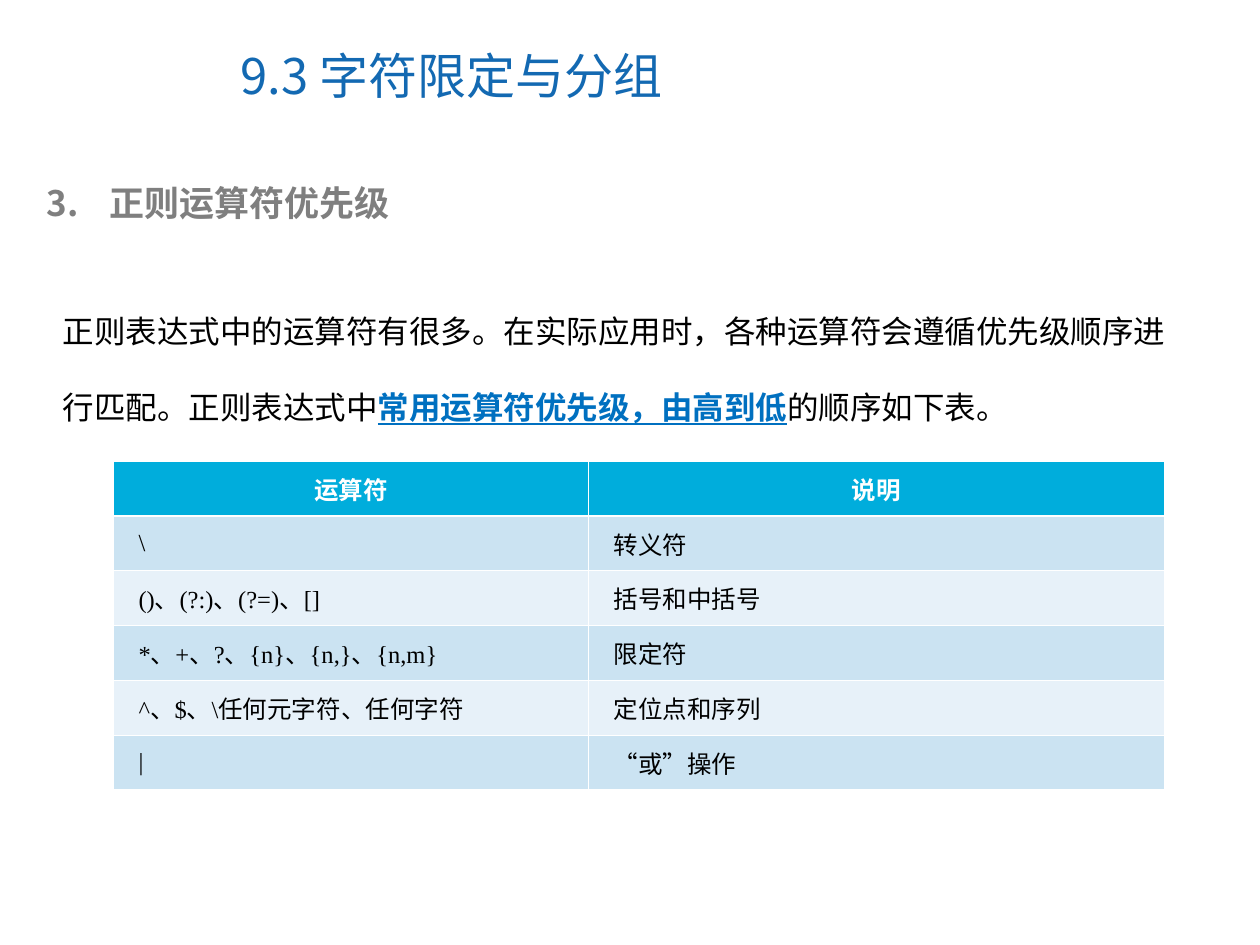
from dataclasses import dataclass

import pptx
import pptx.dml.color
import pptx.enum.lang
import pptx.enum.text
import pptx.oxml.ns
import pptx.util
from lxml import etree
from pptx.util import Inches, Pt

ALIGN = pptx.enum.text.PP_ALIGN
ANCHOR = pptx.enum.text.MSO_ANCHOR


@dataclass(frozen=True)
class Theme:
    title: str = "1369B2"
    heading: str = "7F7F7F"
    body: str = "000000"
    accent: str = "0070C0"
    header_fill: str = "00ADDC"
    band_fills: tuple = ("CBE3F2", "E7F1F9")
    white: str = "FFFFFF"
    title_size: int = 28
    heading_size: int = 20
    body_size: int = 18
    table_size: int = 14
    cjk: str = "Noto Sans CJK SC"
    sans: str = "Arial"
    serif: str = "Times New Roman"


THEME = Theme()

OPERATORS = [
    ("运算符", "说明"),
    ("\\", "转义符"),
    ("()、(?:)、(?=)、[]", "括号和中括号"),
    ("*、+、?、{n}、{n,}、{n,m}", "限定符"),
    ("^、$、\\任何元字符、任何字符", "定位点和序列"),
    ("|", "“或”操作"),
]


def add_element(parent, tag, **attributes):
    return etree.SubElement(parent, pptx.oxml.ns.qn(tag), **attributes)


def rgb(color):
    return pptx.dml.color.RGBColor.from_string(color)


def write(para, text, *, size, color, font=THEME.sans, bold=False, underline=False):
    span = para.add_run()
    span.text = text
    span.font.size = Pt(size)
    span.font.bold = bold
    span.font.underline = underline
    span.font.color.rgb = rgb(color)
    span.font.name = font
    span.font.language_id = pptx.enum.lang.MSO_LANGUAGE_ID.SIMPLIFIED_CHINESE
    add_element(span.font._element, "a:ea", typeface=THEME.cjk)


def add_text_box(slide, left, top, width, height):
    box = slide.shapes.add_textbox(Inches(left), Inches(top), Inches(width), Inches(height))
    box.text_frame.word_wrap = True
    return box.text_frame.paragraphs[0]


def number_paragraph(para, start, color):
    properties = para._p.get_or_add_pPr()
    properties.set("marL", str(Inches(0.5)))
    properties.set("indent", str(Inches(-0.5)))
    add_element(add_element(properties, "a:buClr"), "a:srgbClr", val=color)
    add_element(properties, "a:buFont", typeface=THEME.cjk)
    add_element(properties, "a:buAutoNum", type="arabicPeriod", startAt=str(start))


def set_borders(cell, top, bottom):
    """Draw white cell borders; top and bottom are widths in points."""
    properties = cell._tc.get_or_add_tcPr()
    for side, width in (("L", 0.45), ("R", 0.45), ("T", top), ("B", bottom)):
        line = add_element(properties, f"a:ln{side}", w=str(Pt(width)))
        add_element(add_element(line, "a:solidFill"), "a:srgbClr", val=THEME.white)


def fill_cell(cell, text, row, column):
    set_borders(cell, 1.47 if row == 1 else 0.45, 1.47 if row == 0 else 0.45)
    cell.fill.solid()
    cell.vertical_anchor = ANCHOR.MIDDLE
    cell.margin_left = cell.margin_right = Inches(0.08)
    para = cell.text_frame.paragraphs[0]
    if row == 0:
        cell.fill.fore_color.rgb = rgb(THEME.header_fill)
        para.alignment = ALIGN.CENTER
        write(para, text, size=THEME.table_size, color=THEME.white, bold=True)
    else:
        cell.fill.fore_color.rgb = rgb(THEME.band_fills[(row - 1) % 2])
        para.alignment = ALIGN.JUSTIFY
        para._p.get_or_add_pPr().set("marL", str(Inches(0.12)))
        write(para, text, size=THEME.table_size, color=THEME.body, font=THEME.serif)


def add_title(slide, text):
    title = slide.shapes.title
    title.left, title.top = Inches(1.81), Inches(0.17)
    title.width, title.height = Inches(5.16), Inches(0.85)
    title.text_frame.auto_size = pptx.enum.text.MSO_AUTO_SIZE.NONE
    title.text_frame.vertical_anchor = ANCHOR.MIDDLE
    para = title.text_frame.paragraphs[0]
    para.alignment = ALIGN.LEFT
    write(para, text, size=THEME.title_size, color=THEME.title, font=THEME.cjk)


def add_heading(slide, number, text):
    para = add_text_box(slide, 0.27, 1.39, 9.22, 0.44)
    number_paragraph(para, number, THEME.heading)
    write(para, text, size=THEME.heading_size, color=THEME.heading, font=THEME.cjk, bold=True)


def add_explanation(slide, before, key_phrase, after):
    para = add_text_box(slide, 0.4, 2.13, 9.19, 1.3)
    para.line_spacing = 2.0
    size = THEME.body_size
    write(para, before, size=size, color=THEME.body)
    write(para, key_phrase, size=size, color=THEME.accent, bold=True, underline=True)
    write(para, after, size=size, color=THEME.body)


def add_operator_table(slide, rows):
    frame = slide.shapes.add_table(
        len(rows), 2, Inches(0.9), Inches(3.66), Inches(8.34), Inches(2.61)
    )
    table = frame.table
    for column, width in zip(table.columns, (3.77, 4.57)):
        column.width = Inches(width)
    for row, texts in enumerate(rows):
        for column, text in enumerate(texts):
            fill_cell(table.cell(row, column), text, row, column)


def main():
    deck = pptx.Presentation()
    deck.slide_width, deck.slide_height = Inches(10), Inches(7.5)
    slide = deck.slides.add_slide(deck.slide_layouts.get_by_name("Title Only"))
    add_title(slide, "9.3 字符限定与分组")
    add_heading(slide, 3, "正则运算符优先级")
    add_explanation(
        slide,
        "正则表达式中的运算符有很多。在实际应用时，各种运算符会遵循优先级顺序进行匹配。正则表达式中",
        "常用运算符优先级，由高到低",
        "的顺序如下表。",
    )
    add_operator_table(slide, OPERATORS)
    deck.save("out.pptx")


if __name__ == "__main__":
    main()
